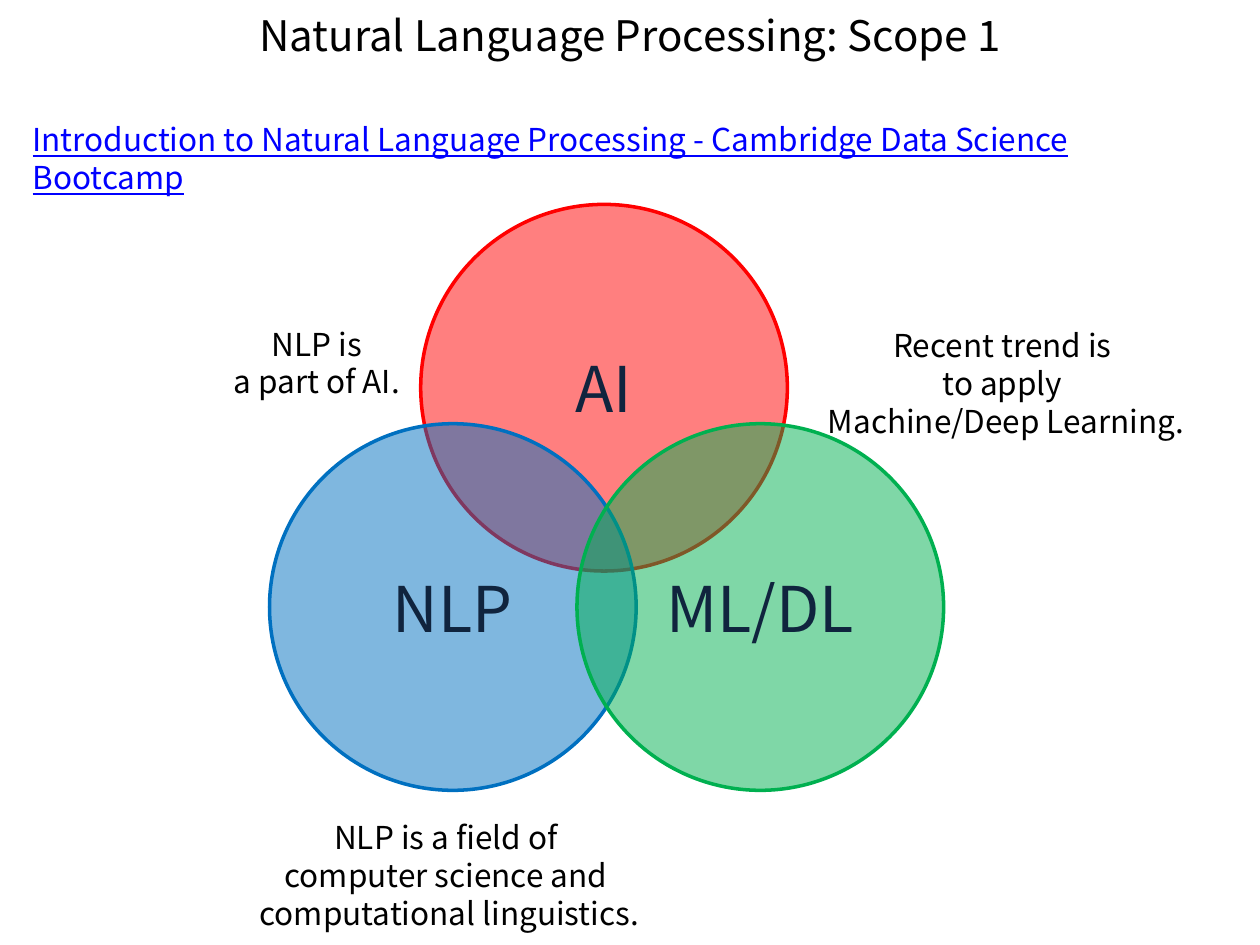
from dataclasses import dataclass

from lxml import etree
from pptx import Presentation
from pptx.dml.color import RGBColor
from pptx.enum.shapes import MSO_SHAPE as Preset
from pptx.enum.text import MSO_ANCHOR as Anchor, PP_ALIGN as Align
from pptx.oxml.ns import qn
from pptx.util import Pt


@dataclass(frozen=True)
class Theme:
    font: str = "Noto Sans CJK KR"
    black: str = "000000"
    link: str = "0000FF"
    navy: str = "10243E"
    red: str = "FF0000"
    blue: str = "0070C0"
    green: str = "00B050"
    title_size: int = 24
    body_size: int = 18
    circle_size: int = 36


THEME = Theme()


def write_text(shape, text, size=THEME.body_size, color=THEME.black,
               align=Align.CENTER, anchor=Anchor.TOP, wrap=True, underline=None):
    """Fill a shape with text; a vertical tab breaks a line, a newline a paragraph."""
    frame = shape.text_frame
    frame.word_wrap = wrap
    frame.vertical_anchor = anchor
    frame.text = text
    for paragraph in frame.paragraphs:
        paragraph.alignment = align
        for run in paragraph.runs:
            run.font.name = THEME.font
            run.font.size = Pt(size)
            run.font.underline = underline
            run.font.color.rgb = RGBColor.from_string(color)


def add_text(slide, box, text, **text_format):
    shape = slide.shapes.add_textbox(*map(Pt, box))
    write_text(shape, text, **text_format)


def add_circle(slide, box, label, color):
    """Add a half-transparent labelled circle with a solid outline."""
    circle = slide.shapes.add_shape(Preset.OVAL, *map(Pt, box))
    circle.shadow.inherit = False
    circle.fill.solid()
    circle.fill.fore_color.rgb = RGBColor.from_string(color)
    fill_color = circle.fill._xPr.find(qn("a:solidFill"))[0]
    etree.SubElement(fill_color, qn("a:alpha"), val="50000")
    circle.line.color.rgb = RGBColor.from_string(color)
    circle.line.width = Pt(2)
    write_text(circle, label, size=THEME.circle_size, color=THEME.navy,
               anchor=Anchor.MIDDLE)


def add_venn(slide, box):
    """Place one circle at the top and two at the bottom corners of the box."""
    left, top, width, height = box
    diameter = 209.5
    right, bottom = left + width - diameter, top + height - diameter
    circles = (
        ("AI", left + 86.4, top, THEME.red),
        ("NLP", left, bottom, THEME.blue),
        ("ML/DL", right, bottom, THEME.green),
    )
    for label, x, y, color in circles:
        add_circle(slide, (x, y, diameter, diameter), label, color)


def add_notes_around(slide, box):
    """Place the three remarks relative to the box of the Venn diagram."""
    left, top, _, height = box
    remarks = (
        ("Recent trend is \vto apply \vMachine/Deep Learning.",
         left + 310.8, top + 66.2, 220.2, 72),
        ("NLP is a field of \vcomputer science and \ncomputational linguistics.",
         left - 15.2, top + height + 12.4, 236, 72),
        ("NLP is\va part of AI.", left - 29, top + 65.2, 112, 50.4),
    )
    for text, *place in remarks:
        add_text(slide, place, text, wrap=False)


def main():
    presentation = Presentation()
    presentation.slide_width, presentation.slide_height = Pt(720), Pt(540)
    slide = presentation.slides.add_slide(presentation.slide_layouts[6])
    venn_box = (154, 116.8, 385.2, 334.8)

    add_text(slide, (0, 0, 720, 39.6), "Natural Language Processing: Scope 1",
             size=THEME.title_size, anchor=Anchor.MIDDLE)
    add_venn(slide, venn_box)
    add_notes_around(slide, venn_box)
    add_text(slide, (11.5, 65, 694, 59),
             "Introduction to Natural Language Processing - Cambridge Data Science Bootcamp",
             color=THEME.link, align=Align.LEFT, underline=True)
    presentation.save("out.pptx")


if __name__ == "__main__":
    main()
